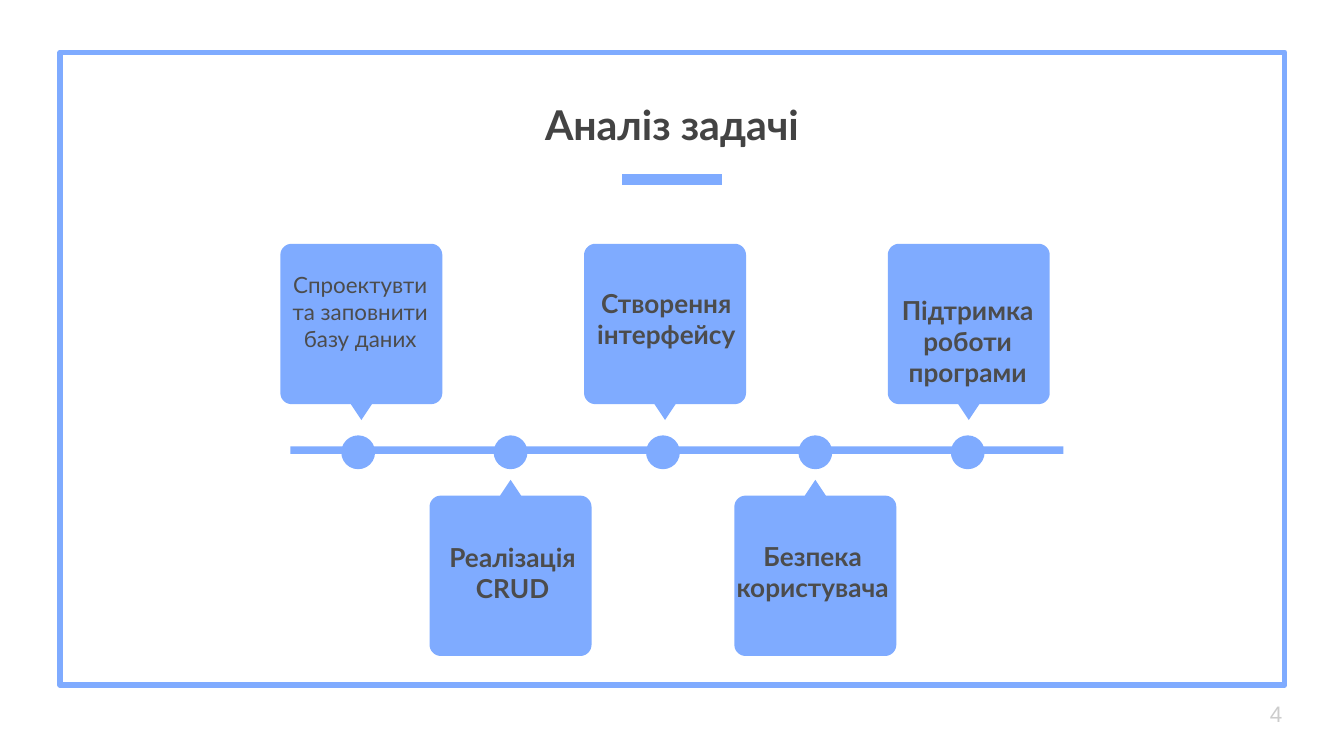
from math import cos, radians, sin

from lxml import etree
from pptx import Presentation
from pptx.dml.color import RGBColor
from pptx.enum.shapes import MSO_CONNECTOR, MSO_SHAPE
from pptx.enum.text import MSO_ANCHOR, PP_ALIGN
from pptx.oxml.ns import qn
from pptx.util import Cm, Pt

BLUE = RGBColor(0x7F, 0xAB, 0xFF)
TITLE_GREY = RGBColor(0x43, 0x43, 0x43)
TEXT_GREY = RGBColor(0x4C, 0x4C, 0x4C)
NUMBER_GREY = RGBColor(0xCC, 0xCC, 0xCC)

RECTANGLE, OVAL = MSO_SHAPE.RECTANGLE, MSO_SHAPE.OVAL
STRAIGHT = MSO_CONNECTOR.STRAIGHT
TOP, MIDDLE, BOTTOM = MSO_ANCHOR.TOP, MSO_ANCHOR.MIDDLE, MSO_ANCHOR.BOTTOM
LEFT, CENTER = PP_ALIGN.LEFT, PP_ALIGN.CENTER

# Timeline geometry, in centimetres
FIRST_DOT, DOT_STEP = 6.77, 2.88
DOT_MIDDLE, DOT_SIZE = 8.55, 0.64
FIRST_UPPER_TIP, UPPER_STEP = 6.83, 5.74
UPPER_TIP_TOP, LOWER_TIP_TOP = 7.94, 9.07
CALLOUT_WIDTH, CALLOUT_HEIGHT = 3.06, 3.33
POINTER_HALF, POINTER_HEIGHT = 0.2, 0.3
CORNER = 0.21

# Lines of text, text box (left, top, width, height), size, bold, indent
STEPS = [
    ("Спроектувти та заповнити базу даних", (5.26, 4.88, 3.1, 2.72), 12, False, 0),
    ("Реалізація CRUD", (7.85, 9.98, 3.3, 1.88), 14, True, 0.38),
    ("Створення інтерфейсу", (10.64, 5.18, 3.53, 1.88), 14, True, 0.38),
    ("Безпека користувача", (13.28, 9.96, 3.78, 1.88), 14, True, 0.38),
    ("Підтримка роботи\nпрограми", (16.21, 5.31, 3.78, 1.88), 14, True, 0.38),
]


def fill_blue(shape):
    shape.fill.solid()
    shape.fill.fore_color.rgb = BLUE
    shape.line.fill.background()
    shape.shadow.inherit = False


def add_block(slide, preset, left, top, width, height):
    shape = slide.shapes.add_shape(preset, Cm(left), Cm(top), Cm(width), Cm(height))
    fill_blue(shape)
    return shape


def add_frame(slide):
    frame = add_block(slide, RECTANGLE, 1.14, 0.99, 23.14, 11.96)
    frame.fill.background()
    frame.line.color.rgb = BLUE
    frame.line.width = Pt(3)


def add_underline(slide):
    line = slide.shapes.add_connector(STRAIGHT, Cm(11.76), Cm(3.4), Cm(13.64), Cm(3.4))
    line.line.color.rgb = BLUE
    line.line.width = Pt(6)
    etree.SubElement(line.element.spPr, qn("a:effectLst"))


def add_callout(slide, tip_left, tip_top, direction):
    """Rounded box whose body lies below (1) or above (-1) its tip."""
    right = CALLOUT_WIDTH / 2 - CORNER
    near, far = POINTER_HEIGHT + CORNER, CALLOUT_HEIGHT - CORNER
    corners = [(right, near), (right, far), (-right, far), (-right, near)]

    outline = [(POINTER_HALF, POINTER_HEIGHT)]
    for index, (x, y) in enumerate(corners):
        for turn in range(0, 91, 10):
            angle = radians(90 * (index - 1) + turn)
            outline.append((x + CORNER * cos(angle), y + CORNER * sin(angle)))
    outline.append((-POINTER_HALF, POINTER_HEIGHT))

    builder = slide.shapes.build_freeform(Cm(tip_left), Cm(tip_top))
    builder.add_line_segments(
        [(Cm(tip_left + x), Cm(tip_top + direction * y)) for x, y in outline]
    )
    fill_blue(builder.convert_to_shape())


def add_text(slide, text, box, size, color, font="Lato", bold=False,
             align=CENTER, anchor=TOP, indent=0):
    text_box = slide.shapes.add_textbox(*(Cm(value) for value in box))
    text_frame = text_box.text_frame
    text_frame.word_wrap = True
    text_frame.vertical_anchor = anchor
    text_frame.margin_left = text_frame.margin_right = Cm(0.25)
    text_frame.margin_top = text_frame.margin_bottom = Cm(0.25)
    text_frame.text = text
    for paragraph in text_frame.paragraphs:
        paragraph.alignment = align
        if indent:
            properties = paragraph._p.get_or_add_pPr()
            properties.set("marL", str(Cm(indent)))
            properties.set("indent", "0")
        for run in paragraph.runs:
            run.font.name = font
            run.font.size = Pt(size)
            run.font.bold = bold
            run.font.color.rgb = color


def add_timeline(slide):
    # Callouts alternate above and below the axis
    dots = [FIRST_DOT + DOT_STEP * index for index in range(len(STEPS))]
    for index, dot in enumerate(dots):
        if index % 2:
            add_callout(slide, dot, LOWER_TIP_TOP, 1)
        else:
            tip = FIRST_UPPER_TIP + UPPER_STEP * index / 2
            add_callout(slide, tip, UPPER_TIP_TOP, -1)

    # Axis and dots
    add_block(slide, RECTANGLE, 5.49, 8.44, 14.61, 0.14)
    for dot in dots:
        add_block(slide, OVAL, dot - DOT_SIZE / 2, DOT_MIDDLE - DOT_SIZE / 2,
                  DOT_SIZE, DOT_SIZE)

    # Step labels
    for text, box, size, bold, indent in STEPS:
        add_text(slide, text, box, size, TEXT_GREY, bold=bold, indent=indent)


def main():
    presentation = Presentation()
    presentation.slide_width = Cm(25.4)
    presentation.slide_height = Cm(14.29)
    slide = presentation.slides.add_slide(presentation.slide_layouts[6])

    add_frame(slide)
    add_underline(slide)
    add_timeline(slide)

    # Title and slide number
    add_text(slide, "Аналіз задачі", (0, 0.53, 25.4, 2.54), 22, TITLE_GREY,
             bold=True, anchor=BOTTOM)
    add_text(slide, "4", (23.75, 12.95, 1.52, 1.09), 12, NUMBER_GREY,
             font="Arial", align=LEFT, anchor=MIDDLE)

    presentation.save("out.pptx")


if __name__ == "__main__":
    main()
